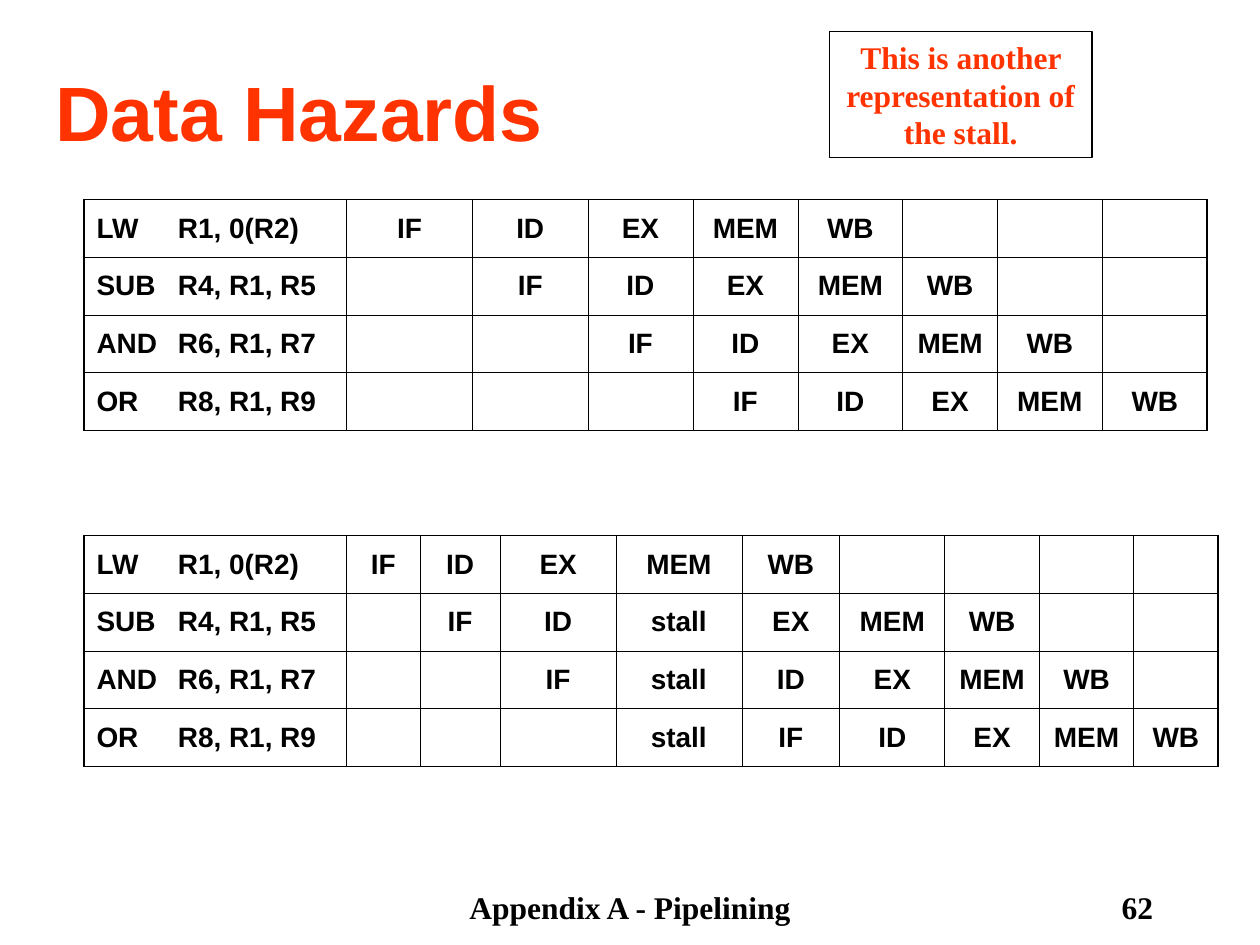
from lxml import etree
from pptx import Presentation
from pptx.dml.color import RGBColor
from pptx.enum import shapes, text
from pptx.oxml import ns
from pptx.util import Pt

BLACK = RGBColor(0x00, 0x00, 0x00)
RED = RGBColor(0xFF, 0x33, 0x00)
SANS, SERIF = "Arial", "Times New Roman"
LEFT, CENTER, RIGHT = text.PP_ALIGN.LEFT, text.PP_ALIGN.CENTER, text.PP_ALIGN.RIGHT
TOP, MIDDLE = text.MSO_ANCHOR.TOP, text.MSO_ANCHOR.MIDDLE

ROW_HEIGHT = 33
OUTER, INNER = 1.08, 0.45
OPERAND_TAB = 46.5
INSTRUCTIONS = ["LW\tR1, 0(R2)", "SUB\tR4, R1, R5", "AND\tR6, R1, R7", "OR\tR8, R1, R9"]
STAGES = ["IF", "ID", "EX", "MEM", "WB"]
STALL_CYCLE = 3


def sub(parent, tag, **attrs):
    return etree.SubElement(parent, ns.qn(tag), attrs)


def write(tf, words, size=18, font=SERIF, color=BLACK, align=CENTER, tab=None):
    p = tf.paragraphs[0]
    p.alignment = align
    if tab:
        tabs = sub(p._p.get_or_add_pPr(), "a:tabLst")
        sub(tabs, "a:tab", pos=str(Pt(tab)), algn="l")
    r = p.add_run()
    r.text = words
    r.font.size = Pt(size)
    r.font.name = font
    r.font.bold = True
    r.font.color.rgb = color


def add_label(s, words, x, y, w, h, anchor=TOP, **fmt):
    tf = s.shapes.add_textbox(Pt(x), Pt(y), Pt(w), Pt(h)).text_frame
    tf.word_wrap = True
    tf.vertical_anchor = anchor
    write(tf, words, **fmt)


def add_note(s, words, x, y, w, h, **fmt):
    sp = s.shapes.add_shape(shapes.MSO_SHAPE.RECTANGLE, Pt(x), Pt(y), Pt(w), Pt(h))
    sp.shadow.inherit = False
    sp.fill.background()
    sp.line.color.rgb = BLACK
    sp.line.width = Pt(0.75)
    tf = sp.text_frame
    tf.word_wrap = True
    tf.vertical_anchor = MIDDLE
    write(tf, words, **fmt)


def set_borders(cell, **widths):
    tc_pr = cell._tc.get_or_add_tcPr()
    for side in "LRTB":
        ln = sub(tc_pr, "a:ln" + side, w=str(Pt(widths[side])))
        sub(sub(ln, "a:solidFill"), "a:srgbClr", val=str(BLACK))


def pipeline_rows(stalled):
    rows = []
    for start, instruction in enumerate(INSTRUCTIONS):
        cycles = [""] * start + STAGES
        if stalled and start:
            cycles.insert(STALL_CYCLE, "stall")
        rows.append([instruction] + cycles)
    return rows


def add_pipeline(s, rows, x, y, widths):
    n_rows, n_cols = len(rows), len(widths)
    table = s.shapes.add_table(n_rows, n_cols, Pt(x), Pt(y), Pt(sum(widths)),
                               Pt(ROW_HEIGHT * n_rows)).table
    table.first_row = table.horz_banding = False
    for col, width in zip(table.columns, widths):
        col.width = Pt(width)
    for i, row in enumerate(rows):
        table.rows[i].height = Pt(ROW_HEIGHT)
        for j in range(n_cols):
            cell = table.cell(i, j)
            set_borders(cell,
                        L=OUTER if j == 0 else INNER,
                        R=OUTER if j == n_cols - 1 else INNER,
                        T=OUTER if i == 0 else INNER,
                        B=OUTER if i == n_rows - 1 else INNER)
            cell.fill.background()
            cell.vertical_anchor = MIDDLE
            if j < len(row) and row[j]:
                write(cell.text_frame, row[j], size=16, font=SANS,
                      align=CENTER if j else LEFT, tab=None if j else OPERAND_TAB)


def main():
    prs = Presentation()
    prs.slide_width, prs.slide_height = Pt(720), Pt(540)
    s = prs.slides.add_slide(prs.slide_layouts[6])
    add_label(s, "Appendix A - Pipelining", 246, 504, 228, 36)
    add_label(s, "62", 516, 504, 150, 36, align=RIGHT)
    add_label(s, "Data Hazards", 12, 18, 318, 90, anchor=MIDDLE,
              size=44, font=SANS, color=RED)
    add_note(s, "This is another representation of the stall.", 474, 18, 150, 72, color=RED)
    add_pipeline(s, pipeline_rows(stalled=False), 48, 114,
                 [150, 72, 66, 60, 60, 60, 54, 60, 60])
    add_pipeline(s, pipeline_rows(stalled=True), 48, 306,
                 [150, 42, 46, 66, 72, 56, 60, 54, 54, 48])
    prs.save("out.pptx")


if __name__ == "__main__":
    main()
